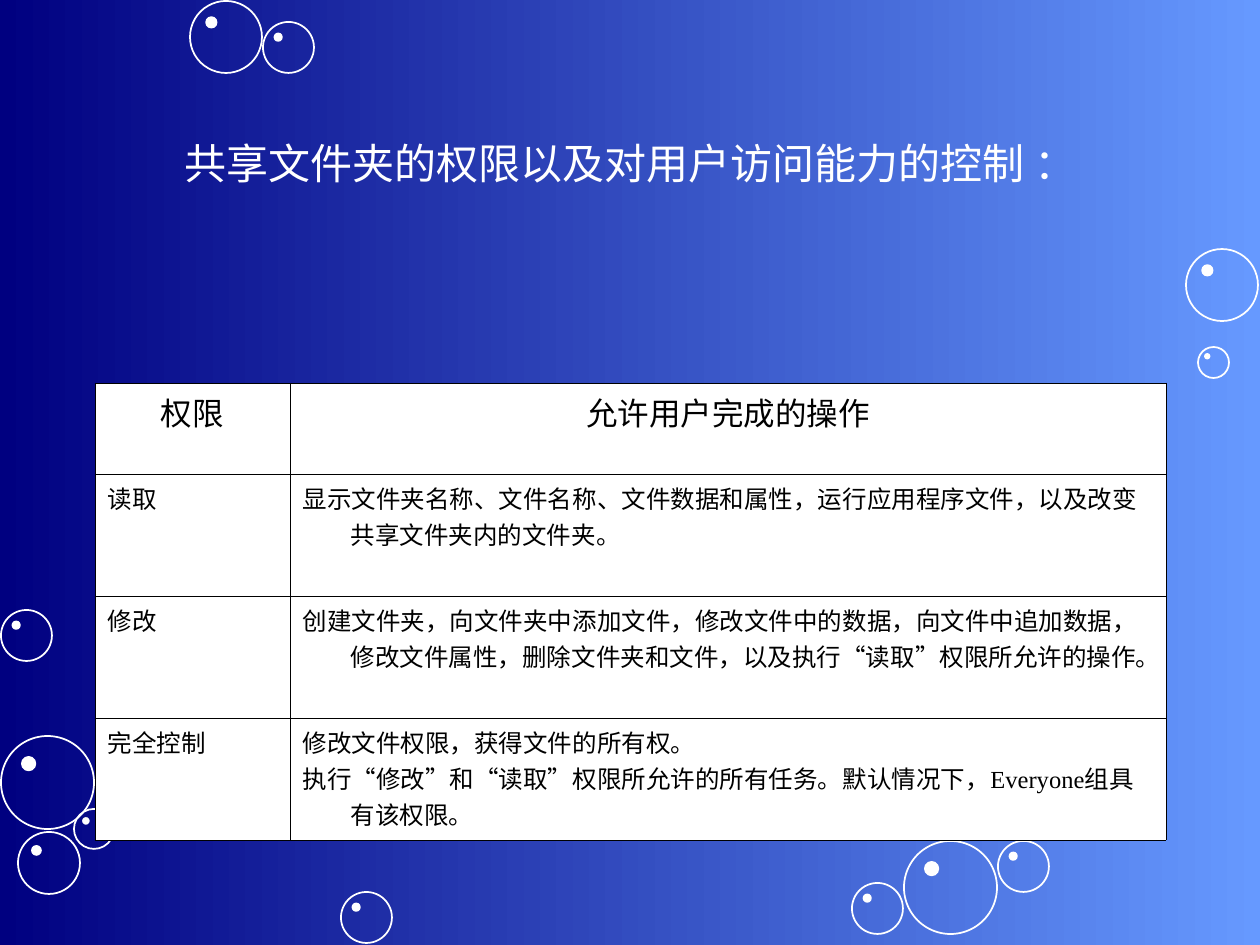
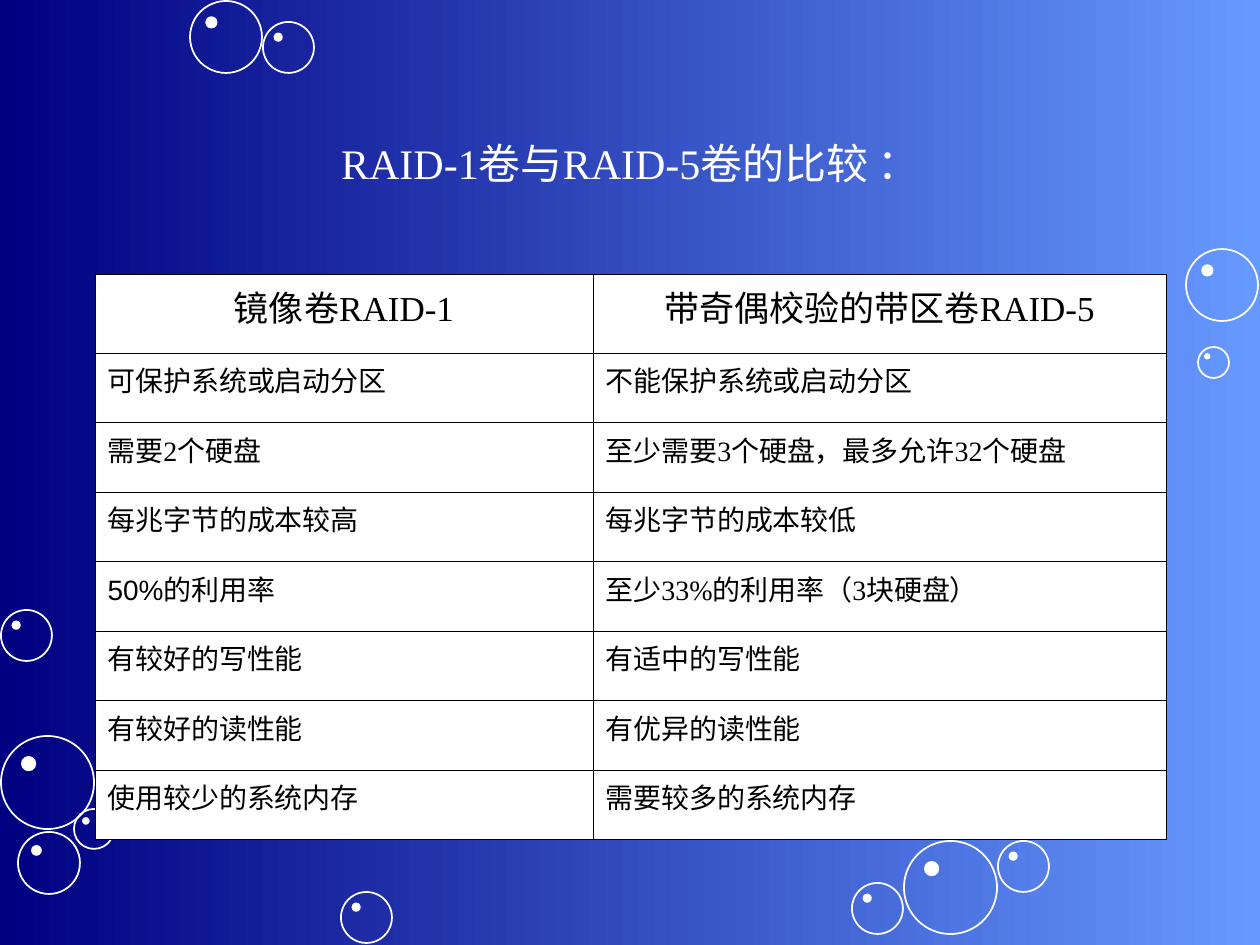
import pptx
import pptx.dml.color
import pptx.enum.lang
import pptx.enum.shapes
import pptx.enum.text
import pptx.oxml
import pptx.oxml.ns
import pptx.util

RGBColor = pptx.dml.color.RGBColor
PP_ALIGN = pptx.enum.text.PP_ALIGN
WHITE = RGBColor(0xFF, 0xFF, 0xFF)
BLACK = RGBColor(0x00, 0x00, 0x00)
SKY = RGBColor(0x66, 0x99, 0xFF)
NAVY = RGBColor(0x00, 0x00, 0x80)
SERIF = "Times New Roman"
SANS = "Arial"
PX_PER_INCH = 126
MARGIN = 95
HANGING = 48
BORDER_WIDTH = pptx.util.Pt(0.45)

BUBBLES = [
    (1, 736, 93), (74, 809, 40), (18, 832, 62), (341, 892, 51),
    (1, 610, 51), (904, 841, 93), (852, 883, 51), (998, 841, 51),
    (1186, 249, 72), (1198, 347, 31), (190, 1, 72), (263, 22, 51),
]

PERMISSIONS = [
    ("权限", "允许用户完成的操作"),
    ("读取", "显示文件夹名称、文件名称、文件数据和属性，运行应用程序文件，"
             "以及改变共享文件夹内的文件夹。"),
    ("修改", "创建文件夹，向文件夹中添加文件，修改文件中的数据，向文件中追加数据，"
             "修改文件属性，删除文件夹和文件，以及执行“读取”权限所允许的操作。"),
    ("完全控制", "修改文件权限，获得文件的所有权。\n"
                 "执行“修改”和“读取”权限所允许的所有任务。默认情况下，Everyone组具有该权限。"),
]

RAID_COMPARISON = [
    ("镜像卷RAID-1", "带奇偶校验的带区卷RAID-5"),
    ("可保护系统或启动分区", "不能保护系统或启动分区"),
    ("需要2个硬盘", "至少需要3个硬盘，最多允许32个硬盘"),
    ("每兆字节的成本较高", "每兆字节的成本较低"),
    ([("50%", SANS), ("的利用率", SERIF)], "至少33%的利用率（3块硬盘）"),
    ("有较好的写性能", "有适中的写性能"),
    ("有较好的读性能", "有优异的读性能"),
    ("使用较少的系统内存", "需要较多的系统内存"),
]


def px(length):
    """Turn pixels into EMU."""
    return pptx.util.Emu(round(length * 914400 / PX_PER_INCH))


def write_text(frame, text, *, size, color, align=PP_ALIGN.LEFT, hanging=0):
    """Fill a frame with a string, one paragraph a line, or with (text, font) spans."""
    if isinstance(text, str):
        lines = [[(line, SERIF)] for line in text.split("\n")]
    else:
        lines = [text]
    for index, spans in enumerate(lines):
        para = frame.add_paragraph() if index else frame.paragraphs[0]
        para.alignment = align
        if hanging:
            properties = para._p.get_or_add_pPr()
            properties.set("marL", str(px(hanging)))
            properties.set("indent", str(-px(hanging)))
        for words, font_name in spans:
            span = para.add_run()
            span.text = words
            span.font.name = font_name
            span.font.size = pptx.util.Pt(size)
            span.font.color.rgb = color
            span.font.language_id = pptx.enum.lang.MSO_LANGUAGE_ID.SIMPLIFIED_CHINESE


def add_circle(group, left, top, diameter, filled=False):
    """Add a white circle, outlined or solid."""
    circle = group.shapes.add_shape(
        pptx.enum.shapes.MSO_SHAPE.OVAL, px(left), px(top), px(diameter), px(diameter))
    circle.shadow.inherit = False
    circle.line.color.rgb = WHITE
    circle.line.width = pptx.util.Pt(1)
    if filled:
        circle.fill.solid()
        circle.fill.fore_color.rgb = WHITE
    else:
        circle.fill.background()


def decorate_layout(layout, page):
    """Give the layout its gradient and its bubbles, drawn on a page and moved."""
    fill = layout.background.fill
    fill.gradient()
    fill.gradient_angle = 180
    for stop, color in zip(fill.gradient_stops, (SKY, NAVY)):
        stop.color.rgb = color
    group = page.shapes.add_group_shape()
    for left, top, diameter in BUBBLES:
        add_circle(group, left, top, diameter)
        gap = diameter * 0.225
        add_circle(group, left + gap, top + gap, diameter * 0.145, filled=True)
    for number, node in enumerate(group.element.iter(pptx.oxml.ns.qn("p:cNvPr")), 100):
        node.set("id", str(number))
    layout.shapes.element.append(group.element)


def add_title(page, text):
    """Place and format the title placeholder."""
    title = page.shapes.title
    title.left, title.top, title.width, title.height = px(MARGIN), px(84), px(1071), px(158)
    frame = title.text_frame
    frame.word_wrap = True
    frame.auto_size = pptx.enum.text.MSO_AUTO_SIZE.NONE
    frame.vertical_anchor = pptx.enum.text.MSO_ANCHOR.MIDDLE
    write_text(frame, text, size=24, color=WHITE, align=PP_ALIGN.CENTER)


def format_cell(cell):
    """Give a cell thin black borders and a white fill."""
    properties = cell._tc.get_or_add_tcPr()
    for side in "LRTB":
        properties.append(pptx.oxml.parse_xml(
            f'<a:ln{side} {pptx.oxml.ns.nsdecls("a")} w="{BORDER_WIDTH}"><a:solidFill>'
            f'<a:srgbClr val="{BLACK}"/></a:solidFill></a:ln{side}>'))
    cell.fill.solid()
    cell.fill.fore_color.rgb = WHITE


def add_grid(page, rows, *, top, height, header_height, widths, header_size, body_size):
    """Add a table with one header row and body rows of equal height."""
    table = page.shapes.add_table(
        len(rows), len(widths), px(MARGIN), px(top), px(sum(widths)), px(height)).table
    table.first_row = False
    table.horz_banding = False
    for column, width in zip(table.columns, widths):
        column.width = px(width)
    body_height = (height - header_height) / (len(rows) - 1)
    for row_index, texts in enumerate(rows):
        is_header = row_index == 0
        table.rows[row_index].height = px(header_height if is_header else body_height)
        for column_index, text in enumerate(texts):
            cell = table.cell(row_index, column_index)
            format_cell(cell)
            write_text(cell.text_frame, text, color=BLACK, hanging=HANGING,
                       size=header_size if is_header else body_size,
                       align=PP_ALIGN.CENTER if is_header else PP_ALIGN.LEFT)


def main():
    """Build the deck."""
    deck = pptx.Presentation()
    deck.slide_width, deck.slide_height = px(1260), px(945)
    layout = deck.slide_layouts.get_by_name("Title Only")

    page = deck.slides.add_slide(layout)
    decorate_layout(layout, page)
    add_title(page, "共享文件夹的权限以及对用户访问能力的控制 ：")
    add_grid(page, PERMISSIONS, top=383, height=457, header_height=91,
             widths=(195, 876), header_size=18, body_size=14)

    page = deck.slides.add_slide(layout)
    add_title(page, "RAID-1卷与RAID-5卷的比较 ：")
    add_grid(page, RAID_COMPARISON, top=274, height=566, header_height=79,
             widths=(498, 573), header_size=20, body_size=16)

    deck.save("out.pptx")


if __name__ == "__main__":
    main()
